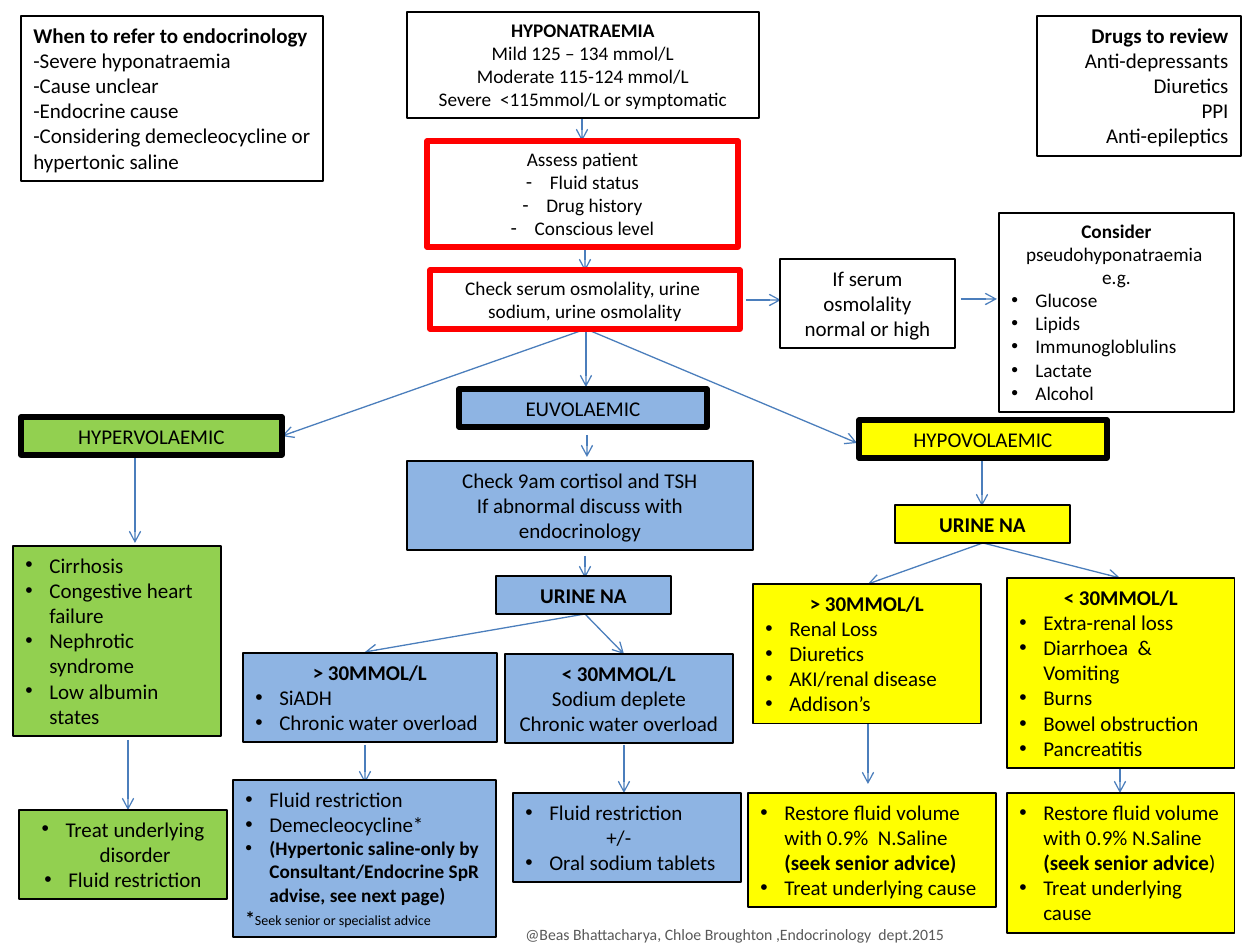
from lxml import etree
from pptx import Presentation
from pptx.dml.color import RGBColor
from pptx.enum.shapes import MSO_CONNECTOR
from pptx.enum.text import MSO_AUTO_SIZE, PP_ALIGN
from pptx.oxml.ns import qn
from pptx.util import Emu, Pt

LEFT, CENTER, RIGHT = PP_ALIGN.LEFT, PP_ALIGN.CENTER, PP_ALIGN.RIGHT
STRAIGHT = MSO_CONNECTOR.STRAIGHT
GROW = MSO_AUTO_SIZE.SHAPE_TO_FIT_TEXT
BLACK = RGBColor(0, 0, 0)
RED = RGBColor(0xFF, 0, 0)
GREEN = RGBColor(0x92, 0xD0, 0x50)
BLUE = RGBColor(0x8E, 0xB4, 0xE3)
YELLOW = RGBColor(0xFF, 0xFF, 0)
ARROW = RGBColor(0x4B, 0x7E, 0xBC)
GREY = RGBColor(0x59, 0x59, 0x59)
FONT = "Calibri"
PX = 914400 // 126
HANG, PLUS_INDENT = 24, 81

ABOVE, BELOW = "^ |> 30MMOL/L|", "^ |< 30MMOL/L|"
HYPERTONIC = "(Hypertonic saline-only by Consultant/Endocrine SpR advise, see next page) "
FOOTNOTE = "Seek senior or specialist advice"
RUN_SIZES = {HYPERTONIC: 11, "*": 11, FOOTNOTE: 8}

BOXES = [
    ((1037, 16, 204, 140), None, BLACK, 1.5, 12, RIGHT,
     ["|Drugs to review|", "Anti-depressants", "Diuretics", "PPI", "Anti-epileptics"]),
    ((21, 16, 302, 165), None, BLACK, 1.5, 12, LEFT,
     ["|When to refer to endocrinology|", "-Severe hyponatraemia", "-Cause unclear",
      "-Endocrine cause", "-Considering demecleocycline or hypertonic saline"]),
    ((407, 12, 352, 106), None, BLACK, 1.5, 11, CENTER,
     ["|HYPONATRAEMIA|", "Mild 125 – 134 mmol/L", "Moderate 115-124 mmol/L",
      "Severe  <115mmol/L or symptomatic"]),
    ((427, 141, 311, 106), None, RED, 3, 11, CENTER,
     ["Assess patient", "- Fluid status", "- Drug history", "- Conscious level"]),
    ((430, 270, 310, 59), None, RED, 3, 11, CENTER,
     ["Check serum osmolality, urine  sodium, urine osmolality"]),
    ((999, 213, 235, 199), None, BLACK, 0.75, 11, LEFT,
     ["^ |Consider |pseudohyponatraemia ", "^ e.g.", "• Glucose", "• Lipids",
      "• Immunogloblulins", "• Lactate", "• Alcohol"]),
    ((780, 259, 175, 89), None, BLACK, 0.75, 12, CENTER,
     ["If serum osmolality normal or high"]),
    ((21, 417, 261, 38), GREEN, BLACK, 3, 12, CENTER, ["HYPERVOLAEMIC"]),
    ((459, 389, 248, 38), BLUE, BLACK, 3, 12, CENTER, ["EUVOLAEMIC"]),
    ((859, 420, 248, 38), YELLOW, BLACK, 3, 12, CENTER, ["HYPOVOLAEMIC"]),
    ((407, 461, 346, 89), BLUE, BLACK, 0.75, 12, CENTER,
     ["Check 9am cortisol and TSH", "If abnormal discuss with endocrinology"]),
    ((496, 576, 175, 38), BLUE, BLACK, 0.75, 12, CENTER, ["|URINE NA|"]),
    ((895, 505, 175, 38), YELLOW, BLACK, 0.75, 12, CENTER, ["|URINE NA|"]),
    ((13, 546, 208, 190), GREEN, BLACK, 0.75, 12, LEFT,
     ["• Cirrhosis", "• Congestive heart failure", "• Nephrotic syndrome ",
      "• Low albumin states"]),
    ((19, 810, 208, 89), GREEN, BLACK, 0.75, 12, CENTER,
     ["• Treat underlying disorder", "• Fluid restriction"]),
    ((243, 653, 254, 89), BLUE, BLACK, 0.75, 12, LEFT,
     [ABOVE, "• SiADH", "• Chronic water overload"]),
    ((233, 780, 263, 157), BLUE, BLACK, 0.75, 12, LEFT,
     ["• Fluid restriction", "• Demecleocycline*", f"• |{HYPERTONIC}|",
      f"|*|{FOOTNOTE}"]),
    ((505, 654, 228, 89), BLUE, BLACK, 0.75, 12, CENTER,
     [BELOW, "Sodium deplete", "Chronic water overload"]),
    ((513, 793, 228, 89), BLUE, BLACK, 0.75, 12, LEFT,
     ["• Fluid restriction", "→ +/-", "• Oral sodium tablets"]),
    ((753, 584, 228, 140), YELLOW, BLACK, 0.75, 12, LEFT,
     [ABOVE, "• Renal Loss", "• Diuretics", "• AKI/renal disease", "• Addison’s"]),
    ((748, 793, 248, 114), YELLOW, BLACK, 0.75, 12, LEFT,
     ["• Restore fluid volume with 0.9%  N.Saline |(seek senior advice)|",
      "• Treat underlying cause"]),
    ((1007, 578, 228, 190), YELLOW, BLACK, 0.75, 12, LEFT,
     [BELOW, "• Extra-renal loss", "• Diarrhoea  & Vomiting", "• Burns",
      "• Bowel obstruction", "• Pancreatitis"]),
    ((1007, 793, 228, 140), YELLOW, BLACK, 0.75, 12, LEFT,
     ["• Restore fluid volume with 0.9% N.Saline |(seek senior advice|)",
      "• Treat underlying cause"]),
    ((513, 919, 449, 32), None, None, 0, 9, LEFT,
     ["@Beas Bhattacharya, Chloe Broughton ,Endocrinology  dept.2015"]),
]

ARROWS = [
    (582, 118, 582, 141), (585, 247, 585, 271), (746, 300, 781, 300),
    (961, 299, 997, 299), (586, 329, 282, 436), (586, 329, 586, 387),
    (586, 329, 857, 443), (587, 435, 587, 457), (585, 556, 585, 578),
    (585, 614, 365, 652), (585, 614, 624, 654), (135, 457, 135, 543),
    (128, 740, 128, 810), (365, 745, 365, 783), (624, 745, 624, 793),
    (982, 461, 982, 506), (983, 543, 868, 584), (983, 543, 1120, 578),
    (868, 722, 868, 784), (1120, 769, 1120, 793),
]


def px(*values):
    return [Emu(v * PX) for v in values]


def add_arrow(s, ends):
    line = s.shapes.add_connector(STRAIGHT, *px(*ends))
    line.line.color.rgb = ARROW
    line.line.width = Pt(0.75)
    etree.SubElement(line.line._get_or_add_ln(), qn("a:tailEnd"), type="arrow")
    etree.SubElement(line._element.spPr, qn("a:effectLst"))


def write_paragraph(p, text, size, color, align):
    mark, body = text[:2], text[2:]
    pPr = p._p.get_or_add_pPr()
    if mark in ("• ", "- "):
        pPr.set("marL", str(HANG * PX))
        pPr.set("indent", str(-HANG * PX))
        etree.SubElement(pPr, qn("a:buFont"), typeface="Arial")
        etree.SubElement(pPr, qn("a:buChar"), char=mark[0])
    elif mark == "→ ":
        pPr.set("marL", str(PLUS_INDENT * PX))
    elif mark != "^ ":
        body = text
    p.alignment = CENTER if mark == "^ " else align
    for i, part in enumerate(body.split("|")):
        if part:
            r = p.add_run()
            r.text = part
            r.font.name = FONT
            r.font.size = Pt(RUN_SIZES.get(part, size))
            r.font.bold = i % 2 == 1
            r.font.color.rgb = color


def add_box(s, place, fill, edge, width, size, align, lines):
    sp = s.shapes.add_textbox(*px(*place))
    if fill is not None:
        sp.fill.solid()
        sp.fill.fore_color.rgb = fill
    if edge is not None:
        sp.line.color.rgb = edge
        sp.line.width = Pt(width)
    tf = sp.text_frame
    tf.word_wrap = True
    tf.auto_size = GROW
    for i, text in enumerate(lines):
        p = tf.add_paragraph() if i else tf.paragraphs[0]
        write_paragraph(p, text, size, GREY if edge is None else BLACK, align)


prs = Presentation()
prs.slide_width, prs.slide_height = px(1260, 945)
s = prs.slides.add_slide(prs.slide_layouts[6])
for ends in ARROWS:
    add_arrow(s, ends)
for box in BOXES:
    add_box(s, *box)
prs.save("out.pptx")
